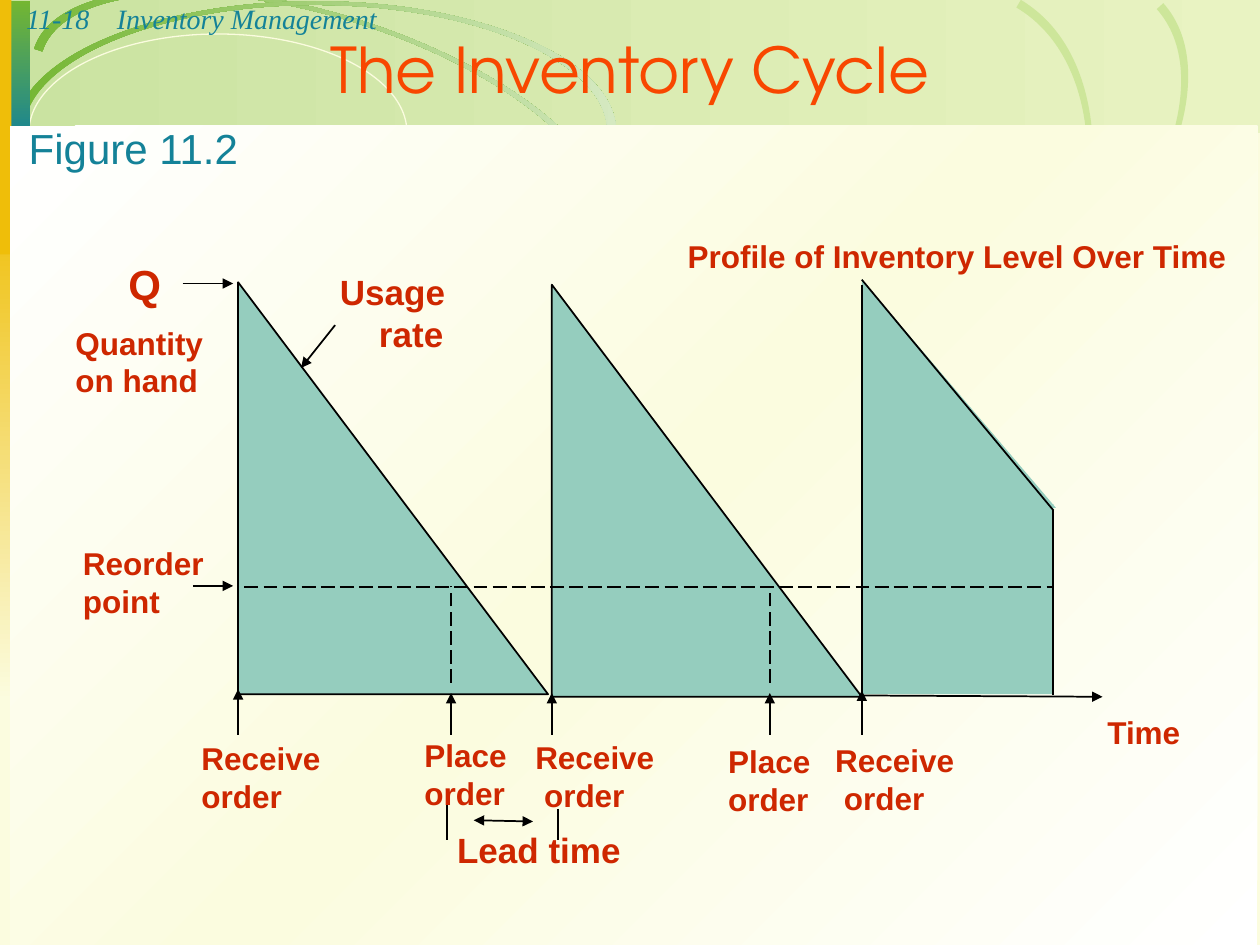
from copy import deepcopy

from lxml import etree
from pptx import Presentation
from pptx import util as u
from pptx.dml.color import RGBColor
from pptx.enum import dml, shapes, text
from pptx.oxml.ns import qn

CREAM = RGBColor(0xFB, 0xFC, 0xDF)
WHITE = RGBColor(0xFF, 0xFF, 0xFF)
BLACK = RGBColor(0, 0, 0)
GREEN = RGBColor(0x74, 0xB6, 0x32)
PALE_GREEN = RGBColor(0xD5, 0xE9, 0xC1)
LIME = RGBColor(0xCD, 0xE6, 0x9A)
HEADER_LEFT = RGBColor(0xCA, 0xE3, 0xA1)
HEADER_RIGHT = RGBColor(0xE9, 0xF3, 0xC2)
TEAL = RGBColor(0x14, 0x82, 0x98)
YELLOW = RGBColor(0xEF, 0xBE, 0x09)
ORANGE = RGBColor(0xF8, 0x47, 0x00)
RED = RGBColor(0xCE, 0x27, 0x00)
STOCK = RGBColor(0x95, 0xCD, 0xBE)

RECT = shapes.MSO_SHAPE.RECTANGLE
TRIANGLE = shapes.MSO_SHAPE.RIGHT_TRIANGLE
W, H = 10, 7.5

prs = Presentation()
prs.slide_width, prs.slide_height = u.Inches(W), u.Inches(H)
slide = prs.slides.add_slide(prs.slide_layouts[5])
slide.background.fill.solid()
slide.background.fill.fore_color.rgb = CREAM


def paint(shape, colors, angle=0):
    """Fill with one colour, or with evenly spaced gradient colours."""
    shape.shadow.inherit = False
    shape.line.fill.background()
    if len(colors) == 1:
        shape.fill.solid()
        shape.fill.fore_color.rgb = colors[0]
        return
    shape.fill.gradient()
    shape.fill.gradient_angle = angle
    stop_list = next(shape._element.iter(qn("a:gsLst")))
    for _ in colors[2:]:
        stop_list.append(deepcopy(stop_list[0]))
    for i, (stop, color) in enumerate(zip(shape.fill.gradient_stops, colors)):
        stop.color.rgb = color
        stop.position = i / (len(colors) - 1)


def add_block(preset, left, top, width, height, colors, angle=0):
    block = slide.shapes.add_shape(preset, *map(u.Inches, (left, top, width, height)))
    paint(block, colors, angle)
    return block


# Header band and its swooshes: half-ellipse ribbons in a full-ellipse box, turned
add_block(RECT, 0.01, 0, W, 1.06, [HEADER_LEFT, HEADER_RIGHT])
K = 0.55  # Bezier handle of a quarter ellipse
ARC = [(-1, 0), (-1, K), (-K, 1), (0, 1), (K, 1), (1, K), (1, 0)]
RX = 2.385
swooshes = [  # left, top, height, turn, side (-1 upper, 1 lower), colours, angle
    (0.16, 0.11, 1.99, 17.5, -1, [GREEN, PALE_GREEN], 18),
    (5.07, 0.32, 2.59, 318.2, 1, [LIME], 0),
    (4.5, 0.52, 3.06, 300.7, 1, [LIME], 0),
    (0.12, 0.01, 2.07, 0, -1, [GREEN, PALE_GREEN], 0),
]
for left, top, height, turn, side, colors, angle in swooshes:
    cx, cy, ry = left + RX, top + height / 2, height / 2
    points = [(cx + RX * x, cy + side * ry * y) for x, y in ARC]
    points += [(cx + (RX - 0.07) * x, cy + side * (ry - 0.03) * y) for x, y in ARC[::-1]]
    points = [(u.Inches(x), u.Inches(y)) for x, y in points]
    outline = slide.shapes.build_freeform(*points[0])
    outline.add_line_segments(points[1:], close=True)
    outline.move_to(u.Inches(cx), u.Inches(cy - side * ry))  # widens the box
    ribbon = outline.convert_to_shape()
    corners = list(ribbon._element.iter(qn("a:lnTo")))
    for start in (0, 3, 7, 10):
        curve = etree.Element(qn("a:cubicBezTo"))
        corners[start].addprevious(curve)
        for corner in corners[start:start + 3]:
            curve.append(corner[0])
            corner.getparent().remove(corner)
    far_edge = list(ribbon._element.iter(qn("a:moveTo")))[-1]
    far_edge.getparent().remove(far_edge)
    ribbon.rotation = turn
    paint(ribbon, colors, angle)
    if angle:
        ring = add_block(shapes.MSO_SHAPE.OVAL, 0.23, 0.27, 3, 1.56, [CREAM])
        ring.fill.background()
        ring.line.color.rgb, ring.line.width = CREAM, u.Pt(0.75)

# Side strips and page body
add_block(RECT, 0, 1.55, 0.22, 4.01, [YELLOW, CREAM], 270)
add_block(RECT, 0.01, 0.01, 0.23, 1.14, [GREEN, TEAL], 270)
add_block(RECT, 0, 0, 0.09, 2.02, [YELLOW])
add_block(RECT, 0.08, 1, 9.9, 6.5, [WHITE, CREAM, WHITE], 315)

# Title, brought in front of the header band
title = slide.shapes.title
slide.shapes._spTree.append(title._element)
title.left, title.top, title.width, title.height = map(u.Inches, (0, 0.28, W, 0.61))
title.text_frame.text = "The Inventory Cycle"
title.text_frame.vertical_anchor = text.MSO_ANCHOR.BOTTOM
title.text_frame.auto_size = text.MSO_AUTO_SIZE.NONE
heading = title.text_frame.paragraphs[0]
heading.alignment = text.PP_ALIGN.CENTER
heading.font.name, heading.font.size = "TeX Gyre Adventor", u.Pt(36)
heading.font.color.rgb = ORANGE

# Inventory profile: two full cycles and the start of a third
CYCLE, PEAK = 2.46, 3.27
FIRST, SECOND, THIRD, END = 1.89, 4.38, 6.84, 8.36
BASE, REORDER, CUT = 5.52, 4.66, 4.03
add_block(RECT, THIRD, 4, END - THIRD, 1.51, [STOCK])
add_block(TRIANGLE, THIRD, 2.22, 1.54, CUT - 2.22, [STOCK])
for left, top in ((FIRST, 2.24), (SECOND, 2.26)):
    cycle = add_block(TRIANGLE, left, top, CYCLE, PEAK, [STOCK])
    cycle.line.color.rgb, cycle.line.width = BLACK, u.Pt(1)

# Lines and arrows: start, end, arrowheads, dashed
TAIL, BOTH = ["tailEnd"], ["headEnd", "tailEnd"]
PLACE_1, PLACE_2 = 3.58, 6.11
lines = [
    (THIRD, 2.22, END, 4.05, [], False),
    (THIRD, 2.26, THIRD, BASE, [], False),
    (END, 4.05, END, BASE, [], False),
    (THIRD, BASE, 8.75, 5.53, TAIL, False),
    (1.45, 2.25, 1.85, 2.25, TAIL, False),
    (1.53, 4.65, 1.85, 4.65, TAIL, False),
    (2.66, 2.58, 2.39, 2.92, TAIL, False),
    (3.76, 6.51, 4.23, 6.52, BOTH, False),
    (4.43, 6.42, 4.43, 6.67, [], False),
    (3.55, 6.38, 3.55, 6.67, [], False),
    (1.94, REORDER, END, REORDER, [], True),
]
lines += [(x, 5.42, x, 4.65, [], True) for x in (PLACE_1, PLACE_2)]
arrow_tips = [(FIRST, 5.47), (PLACE_1, 5.5), (SECOND, 5.5), (PLACE_2, 5.5), (THIRD, 5.48)]
lines += [(x, 5.83, x, tip, TAIL, False) for x, tip in arrow_tips]
for x1, y1, x2, y2, heads, dashed in lines:
    rule = slide.shapes.add_connector(
        shapes.MSO_CONNECTOR.STRAIGHT, *map(u.Inches, (x1, y1, x2, y2)))
    rule.line.color.rgb, rule.line.width = BLACK, u.Pt(1)
    if dashed:
        rule.line.dash_style = dml.MSO_LINE.LONG_DASH
    for head in heads:
        etree.SubElement(rule.line._get_or_add_ln(), qn("a:" + head), type="triangle")
    etree.SubElement(rule._element.spPr, qn("a:effectLst"))

# Labels: left, top, width, height, wording, size, indent of the second line
labels = [
    (5.36, 1.83, 4.48, 0.4, "Profile of Inventory Level Over Time", 18, 0),
    (0.5, 2.52, 1.32, 0.7, "Quantity\non hand", 18, 0),
    (0.92, 2, 0.46, 0.5, "Q", 24, 0),
    (1.5, 5.82, 1.21, 0.7, "Receive\norder", 18, 0),
    (3.27, 5.79, 0.85, 0.7, "Place\norder", 18, 0),
    (4.15, 5.81, 1.14, 0.7, "Receive\norder", 18, 0.07),
    (5.68, 5.84, 0.85, 0.7, "Place\norder", 18, 0),
    (6.53, 5.83, 1.14, 0.7, "Receive\norder", 18, 0.07),
    (3.53, 6.53, 1.5, 0.43, "Lead time", 20, 0),
    (0.56, 4.27, 1.38, 0.7, "Reorder\npoint", 18, 0),
    (2.6, 2.1, 1.36, 0.76, "Usage\nrate", 20, 0.31),
    (8.69, 5.61, 0.78, 0.4, "Time", 18, 0),
]
ARIAL_RED = ("Arial", RED, True, False)
ARIAL_TEAL = ("Arial", TEAL, False, False)
TIMES_TEAL = ("Times New Roman", TEAL, False, True)
captions = [(label, ARIAL_RED) for label in labels] + [
    ((0.13, 0.92, 2.17, 0.5, "Figure 11.2", 24, 0), ARIAL_TEAL),
    ((0.11, -0.04, 1.12, 0.37, "11-18", 16, 0), TIMES_TEAL),
    ((0.83, -0.04, 8.5, 0.37, "Inventory Management", 16, 0), TIMES_TEAL),
]
for (left, top, width, height, wording, size, indent), style in captions:
    caption = slide.shapes.add_textbox(*map(u.Inches, (left, top, width, height)))
    frame = caption.text_frame
    frame.word_wrap, frame.margin_right = True, 0
    frame.text = wording
    for row, paragraph in enumerate(frame.paragraphs):
        if row and indent:
            paragraph._p.get_or_add_pPr().set("marL", str(u.Inches(indent)))
        for run in paragraph.runs:
            run.font.name, run.font.color.rgb, run.font.bold, run.font.italic = style
            run.font.size = u.Pt(size)

prs.save("out.pptx")
